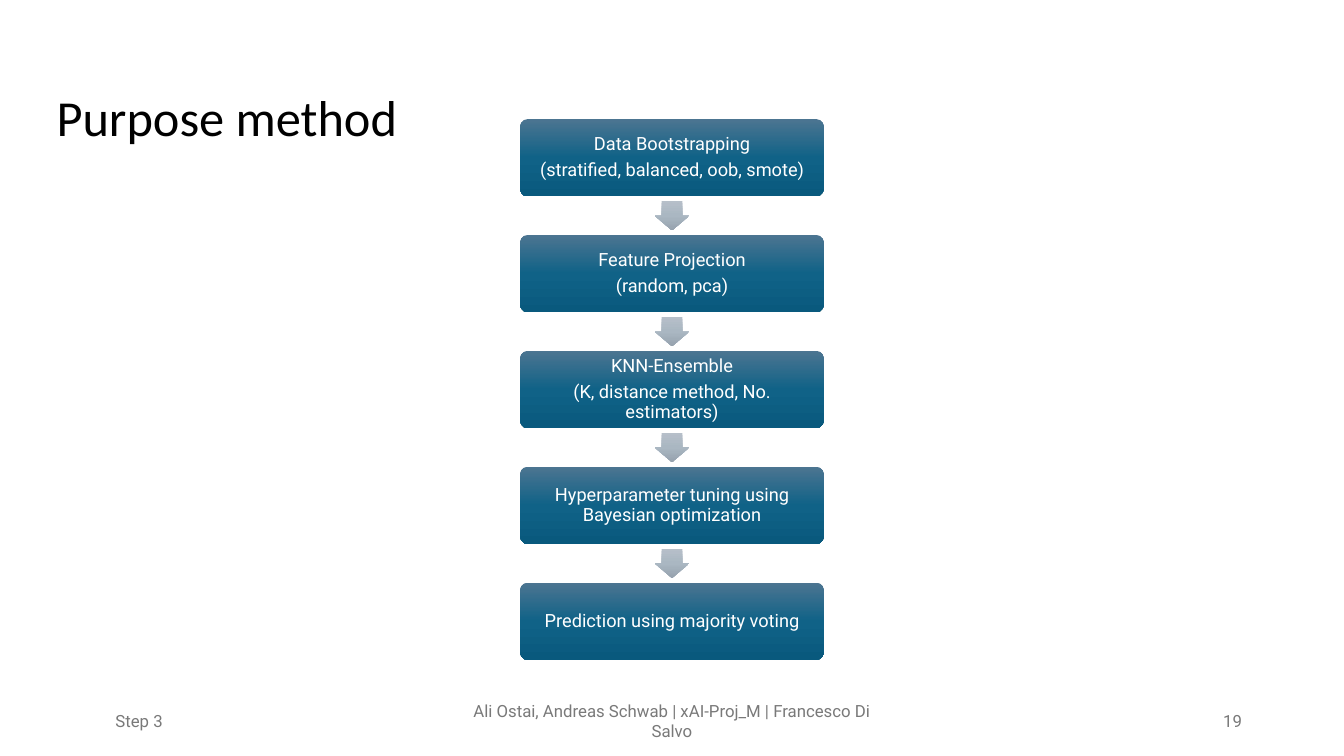
from dataclasses import dataclass

from pptx import Presentation
from pptx.dml.color import RGBColor
from pptx.enum.shapes import MSO_SHAPE
from pptx.enum.text import MSO_ANCHOR, MSO_AUTO_SIZE, PP_ALIGN
from pptx.oxml import parse_xml
from pptx.oxml.ns import nsdecls
from pptx.shapes.autoshape import Shape
from pptx.slide import Slide
from pptx.text.text import TextFrame
from pptx.util import Cm, Pt

# Layout of the flow, in centimetres
WIDE, HIGH = 33.87, 19.05
BOX_W, BOX_H = 7.65, 1.95
ARROW_W, ARROW_H = 0.74, 0.88
TOP, PITCH = 3.0, 2.92
BLUE = ("4C7591", "106287", "09597D")
GREY = ("B6BFC9", "AAB7C2", "96A2AE")


@dataclass
class Note:
    text: str
    left: float
    width: float
    align: PP_ALIGN


STEPS = [
    ("Data Bootstrapping", "(stratified, balanced, oob, smote)"),
    ("Feature Projection", "(random, pca)"),
    ("KNN-Ensemble", "(K, distance method, No. estimators)"),
    ("Hyperparameter tuning using Bayesian optimization",),
    ("Prediction using majority voting",),
]
NOTES = [
    Note("Step 3", 0.71, 5.59, PP_ALIGN.CENTER),
    Note("Ali Ostai, Andreas Schwab | xAI-Proj_M | Francesco Di Salvo",
         11.22, 11.43, PP_ALIGN.CENTER),
    Note("19", 23.93, 7.62, PP_ALIGN.RIGHT),
]


def write(frame: TextFrame, lines: tuple[str, ...], size: float, color: str,
          align: PP_ALIGN, face: str = "Roboto") -> None:
    frame.word_wrap = True
    frame.vertical_anchor = MSO_ANCHOR.MIDDLE
    frame.text = "\n".join(lines)
    for para in frame.paragraphs:
        para.alignment = align
        para.font.name = face
        para.font.size = Pt(size)
        para.font.color.rgb = RGBColor.from_string(color)


def shade(shape: Shape, colors: tuple[str, str, str]) -> None:
    """Fill with a vertical gradient, without line or shadow."""
    stops = "".join(
        f'<a:gs pos="{i * 50000}"><a:srgbClr val="{color}"/></a:gs>'
        for i, color in enumerate(colors))
    shape._element.spPr.append(parse_xml(
        f'<a:gradFill {nsdecls("a")} rotWithShape="0"><a:gsLst>{stops}</a:gsLst>'
        '<a:lin ang="5400000" scaled="0"/></a:gradFill>'))
    shape.line.fill.background()
    shape.shadow.inherit = False


def add_step(slide: Slide, top: float, lines: tuple[str, ...]) -> None:
    box = slide.shapes.add_shape(
        MSO_SHAPE.ROUNDED_RECTANGLE, Cm((WIDE - BOX_W) / 2), Cm(top),
        Cm(BOX_W), Cm(BOX_H))
    box.adjustments[0] = 0.1
    shade(box, BLUE)
    frame = box.text_frame
    frame.margin_left = frame.margin_right = Cm(0.19)
    frame.margin_top = frame.margin_bottom = Cm(0.19)
    write(frame, lines, 13, "FFFFFF", PP_ALIGN.CENTER)
    for para in frame.paragraphs:
        para.line_spacing = 0.9
        para.space_after = Pt(4.6)


def add_arrow(slide: Slide, mid: float) -> None:
    arrow = slide.shapes.add_shape(
        MSO_SHAPE.RIGHT_ARROW, Cm((WIDE - ARROW_W) / 2), Cm(mid - ARROW_H / 2),
        Cm(ARROW_W), Cm(ARROW_H))
    arrow.rotation = 90
    arrow.adjustments[0] = 0.6
    arrow.adjustments[1] = 0.5
    shade(arrow, GREY)


def add_note(slide: Slide, note: Note) -> None:
    box = slide.shapes.add_textbox(
        Cm(note.left), Cm(17.65), Cm(note.width), Cm(1.02))
    write(box.text_frame, (note.text,), 12, "797979", note.align)


def main() -> None:
    deck = Presentation()
    deck.slide_width, deck.slide_height = Cm(WIDE), Cm(HIGH)
    slide = deck.slides.add_slide(deck.slide_layouts[5])

    # Title
    title = slide.shapes.title
    title.left, title.top = Cm(1.17), Cm(2.03)
    title.width, title.height = Cm(9.8), Cm(1.8)
    write(title.text_frame, ("Purpose method",), 36, "000000",
          PP_ALIGN.LEFT, "Calibri")
    title.text_frame.vertical_anchor = MSO_ANCHOR.TOP
    title.text_frame.auto_size = MSO_AUTO_SIZE.SHAPE_TO_FIT_TEXT

    # Steps, with an arrow in each gap
    for i, lines in enumerate(STEPS):
        top = TOP + i * PITCH
        if i:
            add_arrow(slide, top - (PITCH - BOX_H) / 2)
        add_step(slide, top, lines)

    # Footer
    for note in NOTES:
        add_note(slide, note)

    deck.save("out.pptx")


if __name__ == "__main__":
    main()
